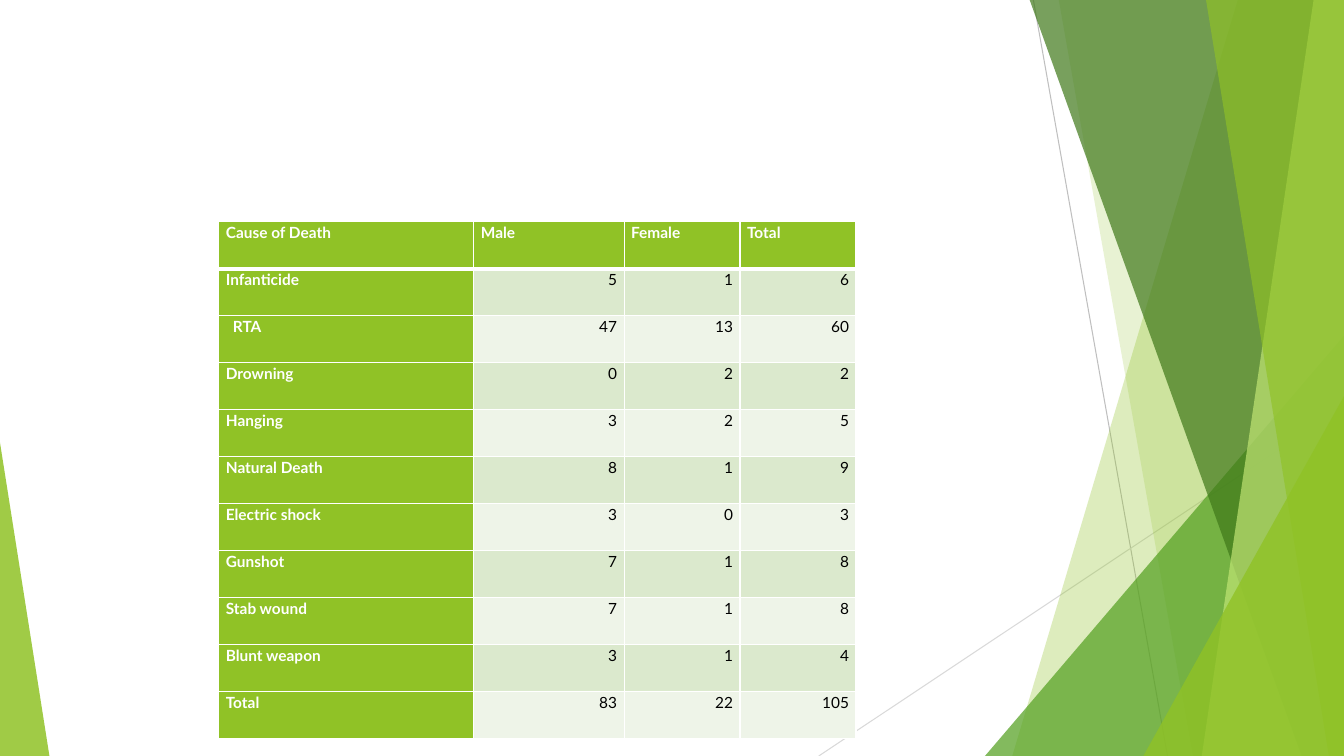
from lxml.etree import SubElement
from pptx import Presentation
from pptx.dml.color import RGBColor
from pptx.enum.shapes import MSO_CONNECTOR as Connector, MSO_SHAPE as Preset
from pptx.enum.text import PP_ALIGN as Align
from pptx.oxml.ns import qn
from pptx.util import Inches, Pt

WIDTH, HEIGHT = Inches(13.33), Inches(7.5)
GREEN, WHITE, BLACK = "90C226", "FFFFFF", "000000"
BANDS = ("DBE9CD", "EEF4E8")

HEADINGS = ("Cause of Death", "Male", "Female", "Total")
DEATHS = (
    ("Infanticide", 5, 1, 6),
    ("RTA", 47, 13, 60),
    ("Drowning", 0, 2, 2),
    ("Hanging", 3, 2, 5),
    ("Natural Death", 8, 1, 9),
    ("Electric shock", 3, 0, 3),
    ("Gunshot", 7, 1, 8),
    ("Stab wound", 7, 1, 8),
    ("Blunt weapon", 3, 1, 4),
    ("Total", 83, 22, 105),
)
COLUMN_SHARES = (18.98, 11.18, 8.63, 8.63)
ROW_SHARE = 6.22


# Lengths are percentages of the slide's width and height
def across(share):
    return round(WIDTH * share / 100)


def down(share):
    return round(HEIGHT * share / 100)


def colour(code):
    return RGBColor.from_string(code)


def paint(facet, code, opacity):
    """Fill without outline or shadow, at the given percentage of opacity."""
    facet.shadow.inherit = False
    facet.line.fill.background()
    facet.fill.solid()
    facet.fill.fore_color.rgb = colour(code)
    tint = facet.fill._xPr.find(qn("a:solidFill"))[0]
    SubElement(tint, qn("a:alpha"), val=str(opacity * 1000))


def add_ray(slide, start, end, code):
    ray = slide.shapes.add_connector(
        Connector.STRAIGHT, across(start[0]), down(start[1]), across(end[0]), down(end[1]))
    ray.line.color.rgb = colour(code)
    ray.line.width = Pt(0.75)
    SubElement(ray._element.spPr, qn("a:effectLst"))


def add_panel(slide, top_left, bottom_left, code, opacity):
    """Full-height panel with a slanted left edge, ending at the right margin."""
    top = down(-0.13)
    outline = slide.shapes.build_freeform(across(top_left), top, scale=1.0)
    outline.add_line_segments([
        (across(100), top), (across(100), down(100)), (across(bottom_left), down(100))])
    paint(outline.convert_to_shape(), code, opacity)


def add_corner(slide, left, right, top, apex, code, opacity):
    """Right triangle standing on the lower edge; apex 0 is left, 1 is right."""
    corner = slide.shapes.add_shape(
        Preset.ISOSCELES_TRIANGLE, across(left), down(top),
        across(right - left), down(100 - top))
    corner.adjustments[0] = apex
    paint(corner, code, opacity)


def add_borders(cell, top, bottom):
    properties = cell._tc.get_or_add_tcPr()
    for side, points in (("L", 1), ("R", 1), ("T", top), ("B", bottom)):
        edge = SubElement(properties, qn(f"a:ln{side}"), w=str(Pt(points)))
        SubElement(SubElement(edge, qn("a:solidFill")), qn("a:srgbClr"), val=WHITE)


def style_cell(cell, row, column):
    is_label = row == 0 or column == 0
    add_borders(cell, 3 if row == 1 else 1, 3 if row == 0 else 1)
    cell.fill.solid()
    cell.fill.fore_color.rgb = colour(GREEN if is_label else BANDS[(row - 1) % 2])
    cell.margin_left = cell.margin_right = Inches(0.07)
    cell.margin_top = cell.margin_bottom = 0
    entry = cell.text_frame.paragraphs[0]
    entry.alignment = Align.LEFT if is_label else Align.RIGHT
    entry.line_spacing = 1.07
    entry.space_after = Pt(8)
    font = entry.runs[0].font
    font.name, font.size, font.bold = "Lato", Pt(11), is_label
    font.color.rgb = colour(WHITE if is_label else BLACK)


def add_death_table(slide):
    records = (HEADINGS,) + DEATHS
    deaths = slide.shapes.add_table(
        len(records), len(HEADINGS), across(16.28), down(29.33),
        across(sum(COLUMN_SHARES)), down(ROW_SHARE * len(records))).table
    deaths.horz_banding = deaths.first_row = False
    for column, share in zip(deaths.columns, COLUMN_SHARES):
        column.width = across(share)
    for row, record in enumerate(records):
        deaths.rows[row].height = down(ROW_SHARE)
        for column, entry in enumerate(record):
            cell = deaths.cell(row, column)
            cell.text_frame.text = str(entry)
            style_cell(cell, row, column)
            if entry == "RTA":
                cell.margin_left = Inches(0.14)


def main():
    deck = Presentation()
    deck.slide_width, deck.slide_height = WIDTH, HEIGHT
    slide = deck.slides.add_slide(deck.slide_layouts[6])

    # Thin rays behind the facets
    add_ray(slide, (76.89, 0), (86.87, 100), "BFBFBF")
    add_ray(slide, (100, 53.73), (60.92, 100), "D9D9D9")

    # Overlapping green facets, from back to front
    add_panel(slide, 92.12, 75.32, GREEN, 30)
    add_panel(slide, 78.77, 88.75, GREEN, 20)
    add_corner(slide, 73.29, 100, 44.4, 1, "54A021", 72)
    add_panel(slide, 76.59, 96.85, "3F7819", 70)
    add_panel(slide, 97.75, 89.42, "C0E474", 70)
    add_panel(slide, 89.72, 98.87, GREEN, 65)
    add_corner(slide, 85.07, 100, 52.4, 1, GREEN, 80)
    add_corner(slide, 0, 3.68, 58.53, 0, GREEN, 85)

    # Causes of death by sex
    add_death_table(slide)
    deck.save("out.pptx")


if __name__ == "__main__":
    main()
